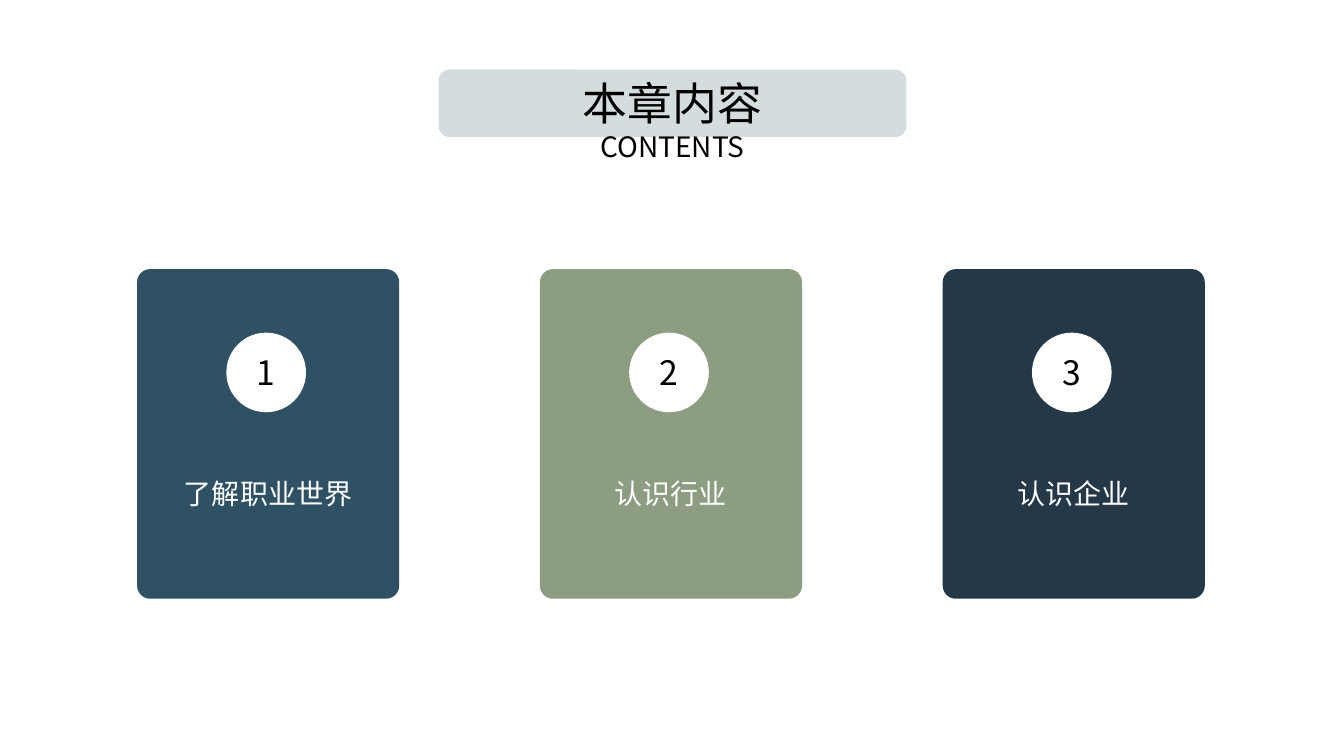
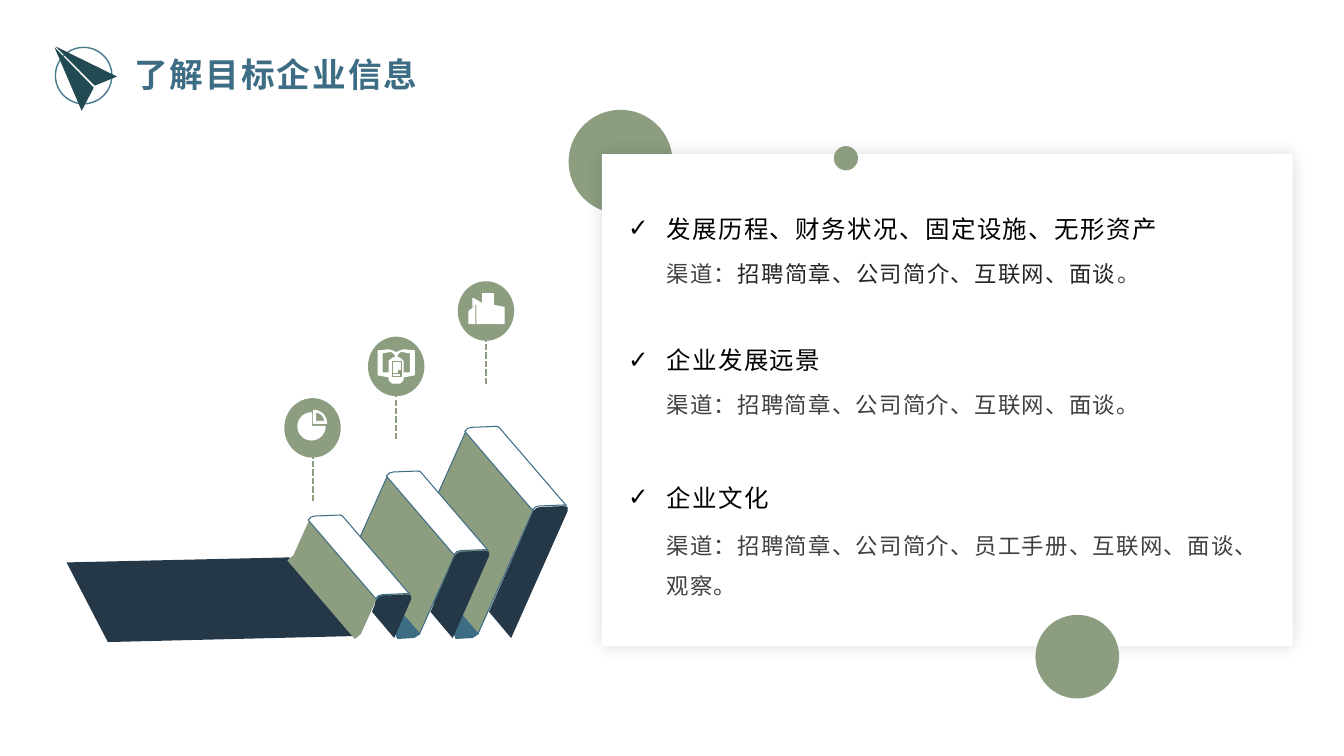
from collections import namedtuple
from math import cos, radians, sin

from lxml.etree import SubElement
from pptx import Presentation
from pptx.dml.color import RGBColor
from pptx.enum.dml import MSO_LINE
from pptx.enum.shapes import MSO_CONNECTOR, MSO_SHAPE
from pptx.enum.text import MSO_ANCHOR, MSO_AUTO_SIZE, PP_ALIGN
from pptx.oxml.ns import qn
from pptx.util import Emu, Inches, Pt

CELL = Inches(0.1)
COLS, ROWS = 133.33, 75
FONT = "Noto Sans CJK SC"
C = {
    "white": "FFFFFF", "black": "000000", "mist": "D4DDDE", "teal": "2E5263",
    "sage": "8C9D80", "moss": "8C9D81", "navy": "243848", "blue": "3D6D84",
    "ring": "467A8C", "plane": "224A52", "grey": "404040", "dark": "262626",
}
Box = namedtuple("Box", "x y w h")
SLIDE = Box(0, 0, COLS, ROWS)


def within(box, x, y, w=0, h=0):
    """Return a box given in grid cells from the corner of another box."""
    return Box(box.x + x, box.y + y, w, h)


def emu(box):
    """Turn grid cells into slide lengths."""
    return [Emu(round(v * CELL)) for v in box]


def paint(sp, fill=None, line=None, width=0.75):
    """Give a shape its fill and line, without a shadow."""
    sp.shadow.inherit = False
    if fill:
        sp.fill.solid()
        sp.fill.fore_color.rgb = RGBColor.from_string(C[fill])
    else:
        sp.fill.background()
    if line:
        sp.line.color.rgb = RGBColor.from_string(C[line])
        sp.line.width = Pt(width)
    else:
        sp.line.fill.background()
    return sp


def preset(s, kind, box, fill=None, line=None, width=0.75):
    """Add a painted preset shape."""
    return paint(s.shapes.add_shape(kind, *emu(box)), fill, line, width)


def outline(s, box, contours, fill, line=None):
    """Add a freeform whose contours are measured in cells from a box."""
    scaled = [[(x * 1000, y * 1000) for x, y in c] for c in contours]
    fb = s.shapes.build_freeform(*scaled[0][0], scale=CELL / 1000)
    for i, pts in enumerate(scaled):
        if i:
            fb.move_to(*pts[0])
        fb.add_line_segments(pts[1:], close=True)
    return paint(fb.convert_to_shape(*emu(box)[:2]), fill, line)


def style(r, size, color, bold=False, spacing=0):
    """Format one run in the shared typeface."""
    r.font.size, r.font.bold = Pt(size), bold
    r.font.color.rgb = RGBColor.from_string(C[color])
    r.font.name = FONT
    rpr = r.font._element
    SubElement(rpr, qn("a:ea")).set("typeface", FONT)
    if spacing:
        rpr.set("spc", str(round(spacing * 100)))


def frame(sp, anchor, margin=0):
    """Prepare a text frame with equal margins and wrapping."""
    tf = sp.text_frame
    tf.auto_size, tf.word_wrap, tf.vertical_anchor = MSO_AUTO_SIZE.NONE, True, anchor
    tf.margin_left = tf.margin_right = tf.margin_top = tf.margin_bottom = margin
    return tf


def put_text(sp, text, size, color):
    """Write one centred line in the middle of a shape."""
    tf = frame(sp, MSO_ANCHOR.MIDDLE)
    tf.text = text
    p = tf.paragraphs[0]
    p.alignment = PP_ALIGN.CENTER
    style(p.runs[0], size, color)


def place(sp, box):
    """Move a placeholder to a box and bring it to the front."""
    sp.left, sp.top, sp.width, sp.height = emu(box)
    sp.element.getparent().append(sp.element)


def contents_title(s, box):
    """Draw the band and the two lines of the contents title."""
    preset(s, MSO_SHAPE.ROUNDED_RECTANGLE, box, "mist")
    place(s.shapes.title, within(box, 0, 0.56, box.w, 8.8))
    tf = frame(s.shapes.title, MSO_ANCHOR.TOP)
    tf.text = "本章内容\nCONTENTS"
    for p, size, height in zip(tf.paragraphs, (32, 20), (39, 24)):
        p.alignment, p.line_spacing = PP_ALIGN.CENTER, Pt(height)
        style(p.runs[0], size, "black")


def card(s, box, number, label, fill):
    """Draw a chapter card with its number disc and label."""
    sp = preset(s, MSO_SHAPE.ROUNDED_RECTANGLE, box, fill)
    sp.adjustments[0] = 0.05
    disc = preset(s, MSO_SHAPE.OVAL, within(box, 8.85, 6.3, 7.9, 7.9), "white")
    put_text(disc, str(number), 24, "black")
    tb = s.shapes.add_textbox(*emu(within(box, 0, 19.7, box.w, 5)))
    put_text(tb, label, 20, "white")


def contents_slide(prs):
    """Build the chapter contents slide."""
    s = prs.slides.add_slide(prs.slide_layouts[5])
    contents_title(s, within(SLIDE, 43.5, 6.9, 46.4, 6.7))
    cards = (("了解职业世界", "teal"), ("认识行业", "moss"), ("认识企业", "navy"))
    for i, (label, fill) in enumerate(cards):
        card(s, within(SLIDE, 13.6 + 39.95 * i, 26.7, 26, 32.7), i + 1, label, fill)


def section_title(s, box, text):
    """Draw the paper plane emblem and the slide title beside it."""
    preset(s, MSO_SHAPE.OVAL, within(box, 0.1, 0.1, 5.6, 5.6), None, "ring", 1)
    wings = [[(6.2, 3), (4, 3.9), (0.1, 0)], [(3.9, 4.1), (2.7, 6.4), (0, 0.1)]]
    outline(s, box, wings, "plane")
    place(s.shapes.title, within(box, 6.9, 0.2, 66.7, 5))
    tf = frame(s.shapes.title, MSO_ANCHOR.MIDDLE, CELL)
    tf.text = text
    p = tf.paragraphs[0]
    p.alignment = PP_ALIGN.LEFT
    style(p.runs[0], 24, "blue", True, 1.5)


def shift(pts, dx, dy):
    """Move a list of points."""
    return [(x + dx, y + dy) for x, y in pts]


def rect(x1, y1, x2, y2):
    """Return the corners of a rectangle."""
    return [(x1, y1), (x2, y1), (x2, y2), (x1, y2)]


def sector(x, y, radius, start, end):
    """Return the outline of a pie sector."""
    rim = [radians(a) for a in range(start, end + 1, 10)]
    return [(x, y)] + [(x + radius * cos(a), y + radius * sin(a)) for a in rim]


def book(s, box, height, first):
    """Draw one leaning book whose lower back corner is the box corner."""
    dx, dy = 6.7, 7.8
    tx, ty = 5.5 * height, -12.3 * height
    if first:
        cover = [(tx, ty), (0, 0), (-0.6, 0.5), (6.1, 8.3), (dx, dy), (tx + dx, ty + dy)]
    else:
        cover = [(0, 0), (tx, ty), (tx + dx, ty + dy), (dx, dy)]
    outline(s, box, [cover], "sage", None if first else "blue")
    edge = [(-0.1, 0), (0.2, -0.3), (0.6, -0.4), (3.1, -0.5), (3.3, -0.4)]
    top = shift(edge, tx, ty) + shift(edge[::-1], tx + dx, ty + dy)
    outline(s, box, [top], "white", "blue")
    rim = [(0, 0.1), (0.3, -0.2), (0.7, -0.3), (3, -0.4), (3.4, -0.3), (3.4, 0.1)]
    spine = shift(rim, tx + dx, ty + dy) + shift([(3.3, 0.4), (1.1, -2.2)], dx, dy)
    outline(s, box, [spine], "navy")
    if not first:
        foot = [(0, 0), (-0.5, 0.4), (-1.4, 0.5), (4.5, 7.3), (4.3, 7.8),
                (4.5, 8.3), (6.2, 8.2), (6.8, 7.8)]
        outline(s, box, [foot], "blue")


def pie_icon():
    """Return the contours of a pie chart icon."""
    return [sector(2.7, 2.8, 1.35, 0, 270), sector(2.9, 2.5, 1.3, 270, 360),
            sector(3.1, 2.3, 0.9, 270, 360)]


def reading_icon():
    """Return the contours of an open book with a sheet in front."""
    half = [(2.8, 1.6), (2.4, 1.4), (2, 1.3), (1.3, 1.4), (1, 1.4), (1, 3.8),
            (2.1, 4), (2.1, 4.3), (2.4, 4.6)]
    page = [(2.1, 2.4), (2.1, 3.6), (1.4, 3.6), (1.4, 1.6), (2.1, 1.5),
            (2.4, 1.5), (2.7, 1.8), (2.7, 2.1), (2.5, 2.1)]
    mirror = [[(5.6 - x, y) for x, y in pts] for pts in (half, page)]
    bars = [rect(2.5, 2.6, 3.2, 3), rect(2.5, 3.1, 3.2, 3.3),
            rect(2.5, 3.4, 2.9, 3.6), rect(2.5, 3.8, 3.1, 3.9)]
    return [half + mirror[0][:0:-1], page, mirror[1], rect(2.3, 2.4, 3.4, 4.1)] + bars


def factory_icon():
    """Return the contours of a factory icon."""
    return [[(1.7, 2.5), (1.7, 4.2), (1.1, 4.2), (1.1, 3)],
            [(3.6, 2.4), (4.6, 2.6), (4.6, 4.2), (3.6, 4.2)],
            [(1.5, 1.7), (2.4, 2.2), (2.4, 4.2), (1.9, 4.2), (1.9, 2.2), (1.5, 2.5)],
            rect(2.5, 1.2, 3.5, 4.2), rect(2.7, 1.5, 2.8, 3.7), rect(3.1, 1.5, 3.2, 3.7)]


def pin(s, box, icon):
    """Draw an icon disc on a dashed stem."""
    preset(s, MSO_SHAPE.OVAL, within(box, 0, 0, 5.6, 5.9), "sage")
    start, end = emu(within(box, 2.8, 10.2))[:2], emu(within(box, 2.8, 4.6))[:2]
    stem = s.shapes.add_connector(MSO_CONNECTOR.STRAIGHT, *start, *end)
    stem.line.color.rgb = RGBColor.from_string(C["sage"])
    stem.line.width, stem.line.dash_style = Pt(1.5), MSO_LINE.SQUARE_DOT
    SubElement(stem.line._get_or_add_ln(), qn("a:tailEnd")).set("type", "diamond")
    SubElement(stem.element.spPr, qn("a:effectLst"))
    outline(s, box, [icon], "white", "white") if icon is None else \
        outline(s, box, icon, "white", "white")


def books_scene(s, box):
    """Draw the row of falling books and the pins above them."""
    outline(s, box, [[(22.7, 28.3), (0.6, 28.8), (4.7, 36.7), (29.4, 36.1)]], "navy")
    for i, height in reversed(list(enumerate((0.285, 0.64, 1)))):
        book(s, within(box, 23.1 + 5.8 * i, 28.1), height, i == 0)
    pins = ((22.2, 12.5, pie_icon()), (30.5, 6.4, reading_icon()), (39.4, 0.9, factory_icon()))
    for x, y, icon in pins:
        pin(s, within(box, x, y), icon)


def panel(s, box):
    """Draw the white panel with its soft shadow and discs."""
    preset(s, MSO_SHAPE.OVAL, within(box, -3.3, -4.4, 10.3, 10.3), "sage")
    sp = preset(s, MSO_SHAPE.RECTANGLE, box, "white")
    glow = SubElement(sp.element.spPr.find(qn("a:effectLst")), qn("a:outerShdw"))
    glow.set("blurRad", str(Pt(12)))
    glow.set("algn", "ctr")
    glow.set("rotWithShape", "0")
    tint = SubElement(glow, qn("a:srgbClr"))
    tint.set("val", C["black"])
    SubElement(tint, qn("a:alpha")).set("val", "15000")
    for x, y, d in ((23, -0.8, 2.4), (43, 45.7, 8.3)):
        preset(s, MSO_SHAPE.OVAL, within(box, x, y, d, d), "sage")


def list_line(p, runs, size, height, before, bullet=None):
    """Format one line of the list, with a hanging bullet where given."""
    p.line_spacing, p.space_before, p.space_after = Pt(height), Pt(before), Pt(0)
    p.alignment = PP_ALIGN.LEFT
    ppr = p._p.get_or_add_pPr()
    ppr.set("marL", str(Inches(0.38)))
    ppr.set("indent", str(-Inches(0.38) if bullet else 0))
    if bullet:
        SubElement(ppr, qn("a:buChar")).set("char", bullet)
    else:
        SubElement(ppr, qn("a:buNone"))
    for text, color in runs:
        r = p.add_run()
        r.text = text
        style(r, size, color, spacing=1)


def topic_list(s, box, topics):
    """Fill the body placeholder with topics and their sources."""
    body = s.placeholders[1]
    place(body, box)
    tf = frame(body, MSO_ANCHOR.TOP)
    for i, (topic, sources, gap, lead) in enumerate(topics):
        p = tf.add_paragraph() if i else tf.paragraphs[0]
        list_line(p, [(topic, "black")], 17.5, 21, gap, "✓")
        list_line(tf.add_paragraph(), sources, 16, 28.5, lead)


def company_slide(prs):
    """Build the slide on learning about a target company."""
    s = prs.slides.add_slide(prs.slide_layouts[1])
    section_title(s, within(SLIDE, 5.4, 4.6), "了解目标企业信息")
    books_scene(s, within(SLIDE, 6, 27))
    area = within(SLIDE, 59.7, 15.3, 68.5, 48.8)
    panel(s, area)
    online = "招聘简章、公司简介、互联网、面谈"
    topics = (
        ("发展历程、财务状况、固定设施、无形资产",
         [("渠道：", "grey"), (online, "dark"), ("。", "grey")], 0, 2.5),
        ("企业发展远景", [("渠道：" + online + "。", "grey")], 42, 2.5),
        ("企业文化",
         [("渠道：招聘简章、公司简介、员工手册、互联网、面谈、观察。", "grey")], 46, 5.5),
    )
    topic_list(s, within(area, 2.6, 5.9, 64, 39), topics)


def main():
    """Build and save the presentation."""
    prs = Presentation()
    prs.slide_width, prs.slide_height = Inches(13.33), Inches(7.5)
    contents_slide(prs)
    company_slide(prs)
    prs.save("out.pptx")


if __name__ == "__main__":
    main()
